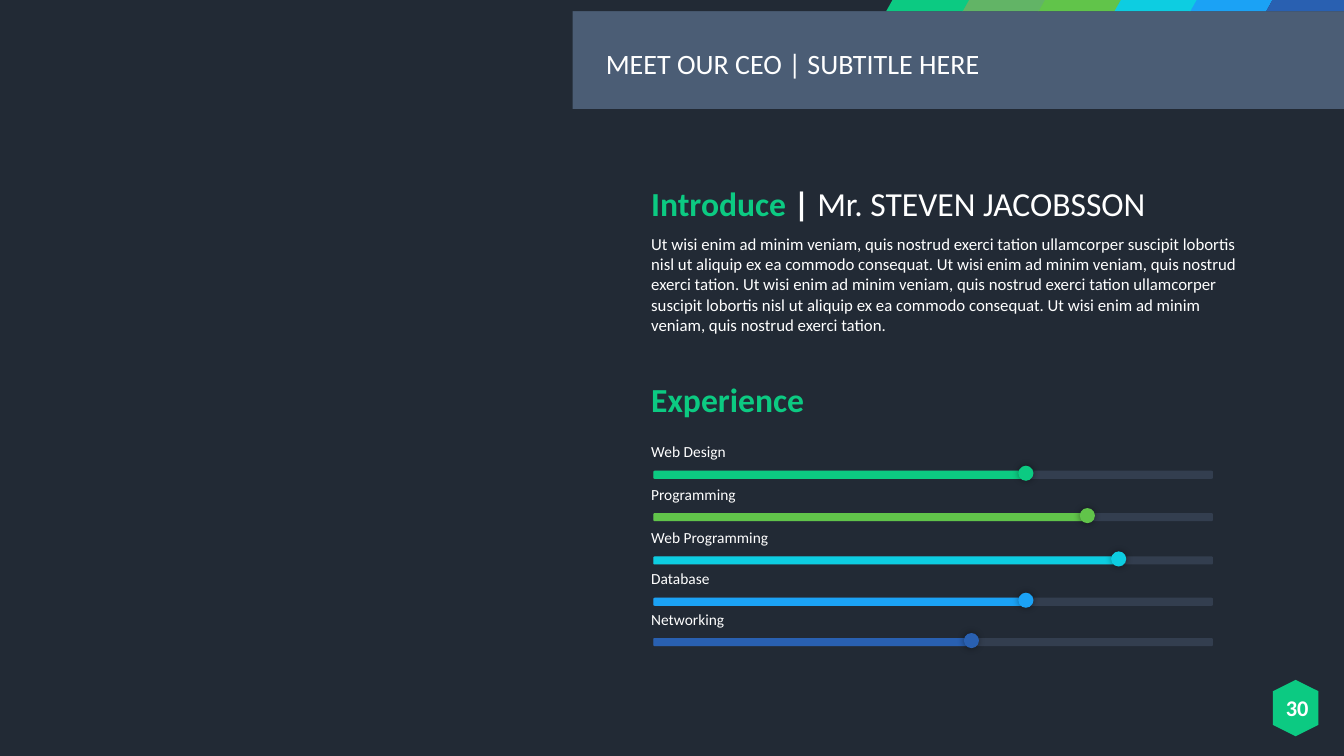
"""Build the CEO profile slide with skill sliders."""
import lxml.etree
import pptx
import pptx.dml.color
import pptx.enum.shapes
import pptx.enum.text
import pptx.oxml.ns
import pptx.util

Inches = pptx.util.Inches
SHAPE = pptx.enum.shapes.MSO_SHAPE
ALIGN = pptx.enum.text.PP_ALIGN
ANCHOR = pptx.enum.text.MSO_ANCHOR
theme = {
    "font": "Calibri", "background": "222A35", "banner": "4B5D75", "track": "333E4F",
    "text": "FFFFFF", "emerald": "0CCA82", "sage": "62B466", "lime": "61C44A",
    "cyan": "0DCDE1", "sky": "1BA2F5", "navy": "2960B1",
    "heading": 24, "title": 20, "number": 16, "body": 12, "label": 11,
}


def add_filled(s, kind, box, color):
    """Add a plain filled preset shape."""
    sp = s.shapes.add_shape(kind, *map(Inches, box))
    sp.fill.solid()
    sp.fill.fore_color.rgb = pptx.dml.color.RGBColor.from_string(theme[color])
    sp.line.fill.background()
    sp.shadow.inherit = False
    return sp


def add_text(s, box, runs, size, align=ALIGN.LEFT, anchor=ANCHOR.TOP, spacing=1.0):
    """Add a one-paragraph text box from (text, colour, bold) runs."""
    tf = s.shapes.add_textbox(*map(Inches, box)).text_frame
    tf.word_wrap = True
    tf.vertical_anchor = anchor
    p = tf.paragraphs[0]
    p.alignment = align
    p.line_spacing = spacing
    for text, color, bold in runs:
        r = p.add_run()
        r.text = text
        formats = {"name": theme["font"], "size": pptx.util.Pt(theme[size]), "bold": bold}
        for key, value in formats.items():
            setattr(r.font, key, value)
        r.font.color.rgb = pptx.dml.color.RGBColor.from_string(theme[color])


prs = pptx.Presentation()
prs.slide_width, prs.slide_height = Inches(13.33), Inches(7.5)
s = prs.slides.add_slide(prs.slide_layouts[6])
s.background.fill.solid()
s.background.fill.fore_color.rgb = pptx.dml.color.RGBColor.from_string(theme["background"])

add_filled(s, SHAPE.RECTANGLE, (5.68, 0.11, 7.65, 0.97), "banner")
add_filled(s, SHAPE.RECTANGLE, (0, 0, 13.33, 0.11), "background")
stripes = ["emerald", "sage", "lime", "cyan", "sky"]
for i, color in reversed(list(enumerate(stripes))):
    sp = add_filled(s, SHAPE.PARALLELOGRAM, (8.79 + 0.7525 * i, 0, 0.82, 0.11), color)
    sp.adjustments[0] = 0.56

builder = s.shapes.build_freeform(Inches(12.62), 0)
corners = [(13.33, 0), (13.33, 0.11), (12.56, 0.11)]
builder.add_line_segments([(Inches(x), Inches(y)) for x, y in corners], close=True)
end_stripe = builder.convert_to_shape()
end_stripe.fill.solid()
end_stripe.fill.fore_color.rgb = pptx.dml.color.RGBColor.from_string(theme["navy"])
end_stripe.line.fill.background()
end_stripe.shadow.inherit = False

badge = add_filled(s, SHAPE.HEXAGON, (12.57, 6.8, 0.56, 0.45), "emerald")
badge.rotation = 90
add_text(s, (12.56, 6.84, 0.61, 0.37), [("30", "text", True)], "number", align=ALIGN.CENTER)

add_text(s, (5.91, 0.37, 7.42, 0.55), [("MEET OUR CEO | SUBTITLE HERE", "text", False)],
         "title", anchor=ANCHOR.MIDDLE, spacing=0.9)
biography = (
    "Ut wisi enim ad minim veniam, quis nostrud exerci tation ullamcorper suscipit lobortis "
    "nisl ut aliquip ex ea commodo consequat. Ut wisi enim ad minim veniam, quis nostrud "
    "exerci tation. Ut wisi enim ad minim veniam, quis nostrud exerci tation ullamcorper "
    "suscipit lobortis nisl ut aliquip ex ea commodo consequat. Ut wisi enim ad minim "
    "veniam, quis nostrud exerci tation."
)
add_text(s, (6.36, 2.27, 6.18, 1.31), [(biography, "text", False)], "body")
introduction = [("Introduce ", "emerald", True), ("| ", "text", True),
                ("Mr. STEVEN JACOBSSON", "text", False)]
add_text(s, (6.36, 1.77, 6.36, 0.5), introduction, "heading")
add_text(s, (6.36, 3.71, 2.49, 0.5), [("Experience", "emerald", True)], "heading")

track_left = 6.48
skills = [
    ("Web Design", 4.67, 3.68, "emerald"),
    ("Programming", 5.09, 4.29, "lime"),
    ("Web Programming", 5.52, 4.6, "cyan"),
    ("Database", 5.93, 3.68, "sky"),
    ("Networking", 6.33, 3.14, "navy"),
]
for name, top, level, color in skills:
    add_text(s, (6.36, top - 0.33, 1.92, 0.29), [(name, "text", False)], "label")
    add_filled(s, SHAPE.ROUNDED_RECTANGLE, (track_left, top, 5.55, 0.08), "track")
    add_filled(s, SHAPE.ROUNDED_RECTANGLE, (track_left, top, level, 0.08), color)
    knob = add_filled(s, SHAPE.OVAL, (track_left + level - 0.06, top - 0.05, 0.15, 0.15), color)
    qn = pptx.oxml.ns.qn
    effects = knob.element.spPr.find(qn("a:effectLst"))
    glow = lxml.etree.SubElement(effects, qn("a:outerShdw"), blurRad=str(pptx.util.Pt(5)),
                                 dist="0", dir="0", algn="ctr", rotWithShape="0")
    black = lxml.etree.SubElement(glow, qn("a:srgbClr"), val="000000")
    lxml.etree.SubElement(black, qn("a:alpha"), val="40000")

prs.save("out.pptx")
